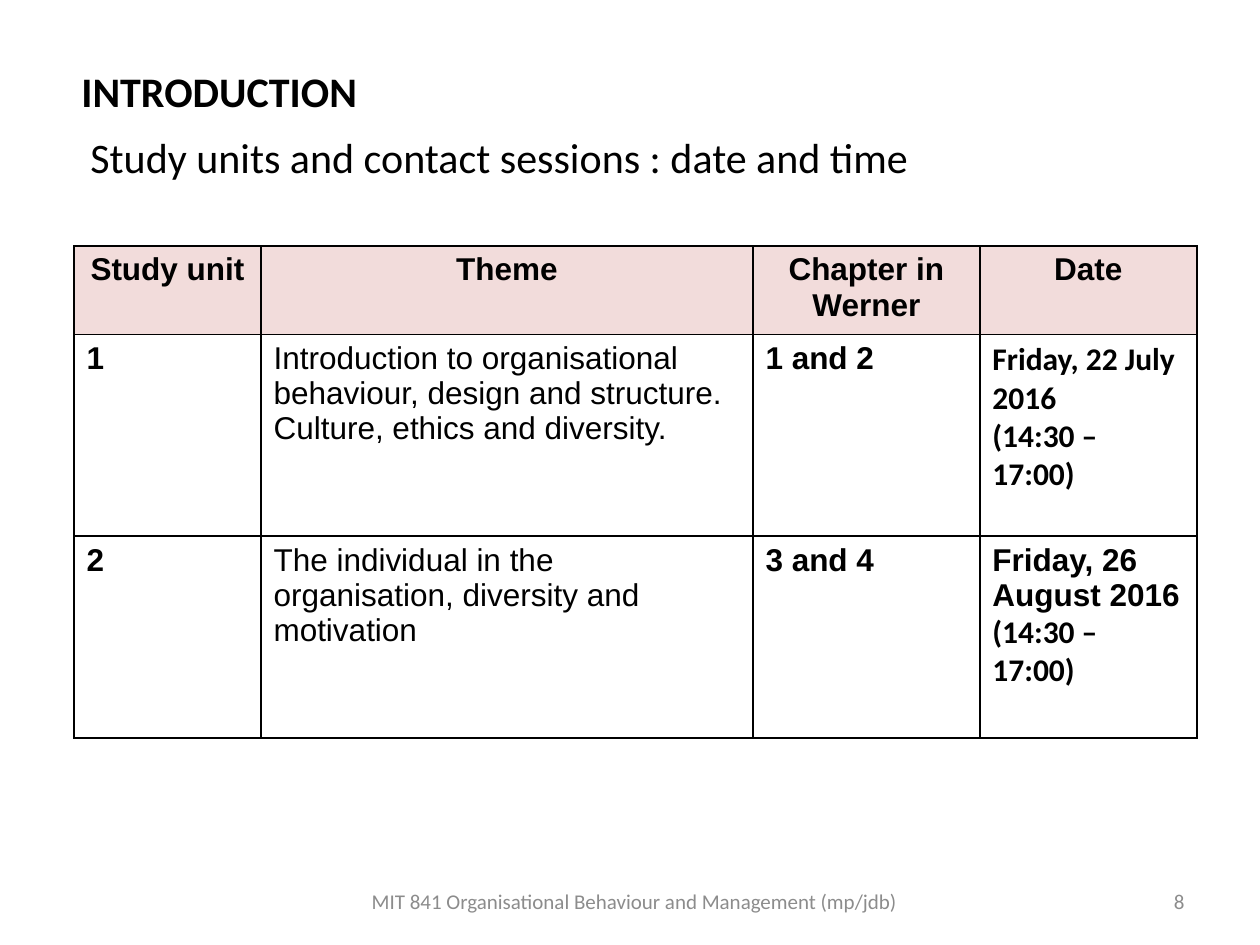
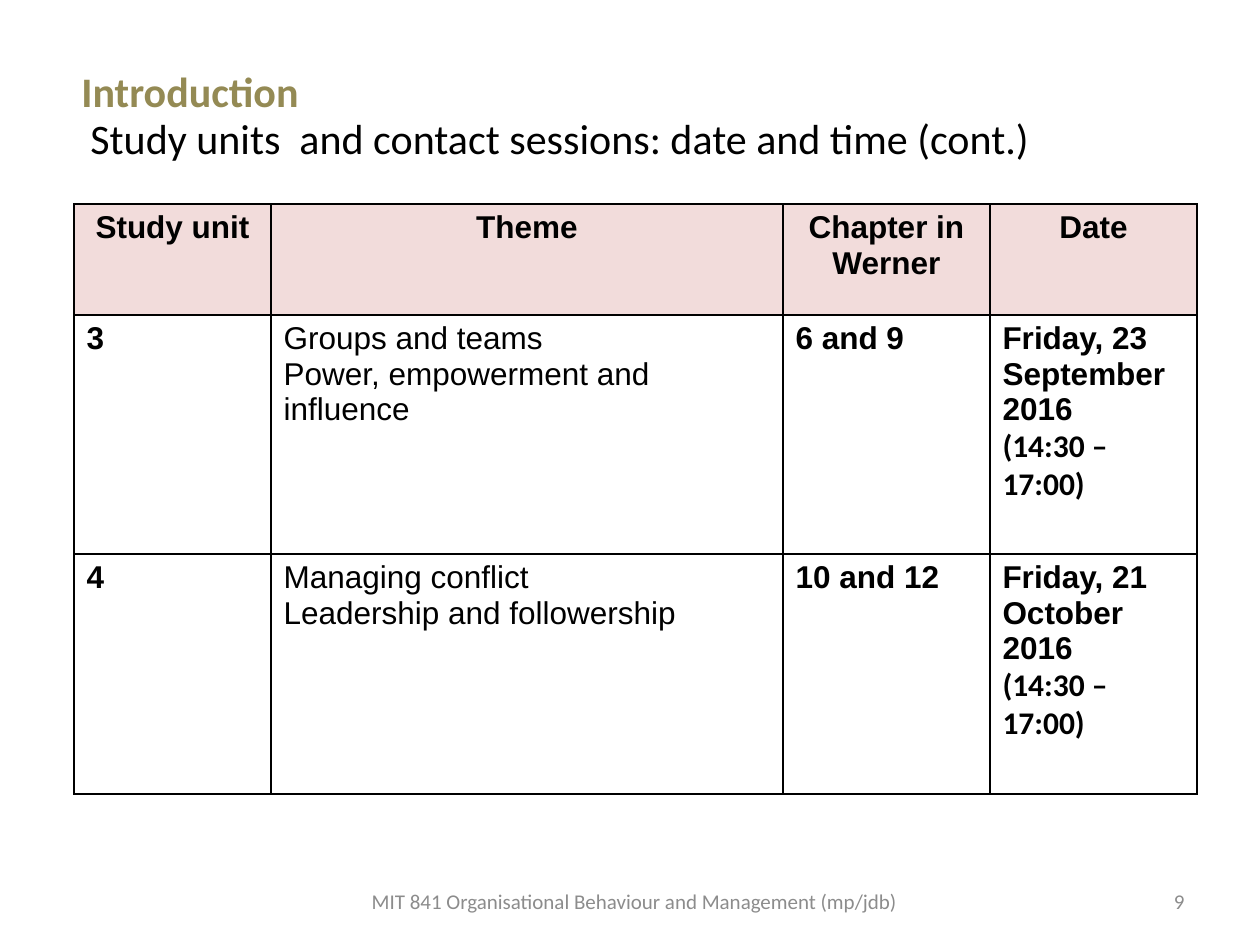
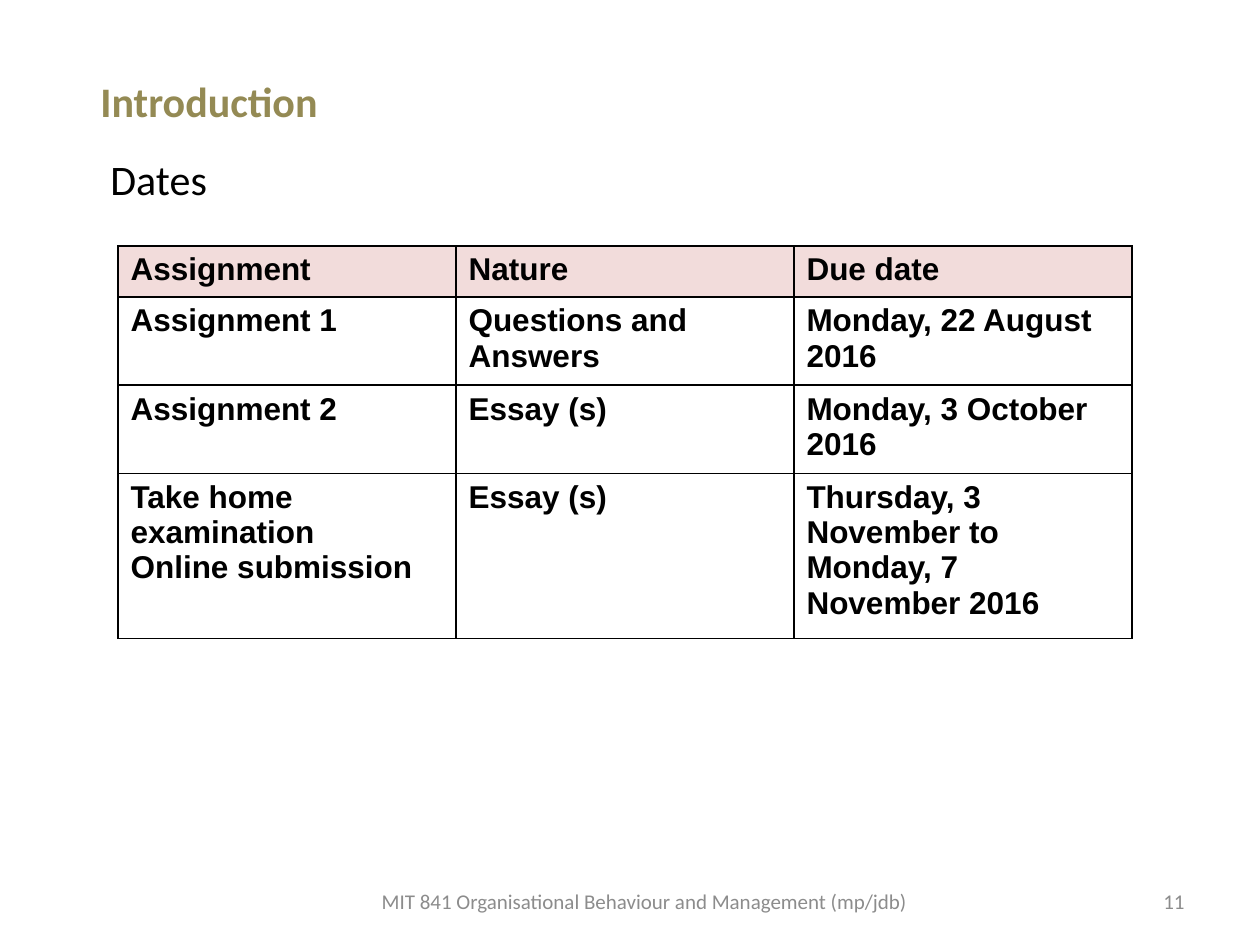
import pptx
import pptx.util
import pptx.dml.color
import pptx.enum.text
import pptx.oxml
import pptx.oxml.ns
import lxml.etree

PIXEL = 914400 // 126
BLACK = pptx.dml.color.RGBColor(0x00, 0x00, 0x00)
WHITE = pptx.dml.color.RGBColor(0xFF, 0xFF, 0xFF)
OLIVE = pptx.dml.color.RGBColor(0x94, 0x8A, 0x54)
GREY = pptx.dml.color.RGBColor(0x8C, 0x8C, 0x8C)
PINK = pptx.dml.color.RGBColor(0xF2, 0xDC, 0xDB)
BODY_FONT = "Calibri"
TABLE_FONT = "Arial"
LEFT = pptx.enum.text.PP_ALIGN.LEFT
CENTER = pptx.enum.text.PP_ALIGN.CENTER
RIGHT = pptx.enum.text.PP_ALIGN.RIGHT
TOP = pptx.enum.text.MSO_ANCHOR.TOP
MIDDLE = pptx.enum.text.MSO_ANCHOR.MIDDLE

FOOTER = "MIT 841 Organisational Behaviour and Management (mp/jdb)"
UNIT_HEADINGS = ["Study unit", "Theme", "Chapter in Werner", "Date"]
TIME = ("(14:30 – 17:00)", BODY_FONT)

# A cell is plain text, or a list of paragraphs; a paragraph is plain text
# or a list of (text, font) runs.
PAGES = [
    {
        "title": ("INTRODUCTION", BLACK, (69, 59, 1033, 115)),
        "subtitle": ("Study units and contact sessions : date and time", (78, 125, 966, 63)),
        "footer": (344, 876, 581, 50),
        "number": "8",
        "corner": (74, 246),
        "columns": [187, 492, 227, 217],
        "rows": [88, 202, 202],
        "heading_align": CENTER,
        "light_column": 1,
        "cells": [
            UNIT_HEADINGS,
            ["1",
             ["Introduction to organisational behaviour, design and structure.",
              "Culture, ethics and diversity."],
             "1 and 2",
             [[("Friday, 22 July 2016", BODY_FONT)], [TIME]]],
            ["2",
             "The individual in the organisation, diversity and motivation",
             "3 and 4",
             [[("Friday, 26 August 2016 ", TABLE_FONT), TIME]]],
        ],
    },
    {
        "title": ("Introduction", OLIVE, (69, 59, 1033, 64)),
        "subtitle": ("Study units  and contact sessions: date and time (cont.)", (78, 106, 966, 63)),
        "footer": (344, 876, 581, 50),
        "number": "9",
        "corner": (74, 204),
        "columns": [197, 512, 207, 207],
        "rows": [111, 239, 240],
        "heading_align": CENTER,
        "light_column": 1,
        "cells": [
            UNIT_HEADINGS,
            ["3",
             ["Groups and teams", "Power, empowerment and influence"],
             "6 and 9",
             ["Friday, 23 September 2016", [TIME]]],
            ["4",
             ["Managing conflict", "Leadership and followership"],
             "10 and 12",
             ["Friday, 21 October 2016", [TIME]]],
        ],
    },
    {
        "title": ("Introduction", OLIVE, (88, 69, 493, 64)),
        "subtitle": ("Dates", (98, 147, 966, 64)),
        "footer": (315, 876, 659, 50),
        "number": "11",
        "corner": (118, 246),
        "columns": [338, 338, 338],
        "rows": [51, 88, 88, 165],
        "heading_align": LEFT,
        "light_column": None,
        "cells": [
            ["Assignment", "Nature", "Due date"],
            ["Assignment 1", "Questions and Answers", "Monday, 22 August 2016"],
            ["Assignment 2", "Essay (s)", "Monday, 3 October 2016"],
            [["Take home examination", "Online submission"],
             "Essay (s)",
             "Thursday, 3 November to Monday, 7 November 2016"],
        ],
    },
]


def add_text(page, place, text, size, color, bold=False, align=LEFT, anchor=TOP):
    """Add a one-paragraph text box at a place given in pixels."""
    box = page.shapes.add_textbox(*[length * PIXEL for length in place])
    frame = box.text_frame
    frame.word_wrap = True
    frame.vertical_anchor = anchor
    para = frame.paragraphs[0]
    para.text = text
    para.alignment = align
    para.font.name = BODY_FONT
    para.font.size = pptx.util.Pt(size)
    para.font.bold = bold
    para.font.color.rgb = color


def add_borders(cell):
    """Give a table cell a thin black line on all four sides."""
    properties = cell._tc.get_or_add_tcPr()
    for side in ("a:lnL", "a:lnR", "a:lnT", "a:lnB"):
        line = lxml.etree.SubElement(properties, pptx.oxml.ns.qn(side), w=str(pptx.util.Pt(1)))
        fill = lxml.etree.SubElement(line, pptx.oxml.ns.qn("a:solidFill"))
        lxml.etree.SubElement(fill, pptx.oxml.ns.qn("a:srgbClr"), val=str(BLACK))


deck = pptx.Presentation()
deck.slide_width = 1260 * PIXEL
deck.slide_height = 945 * PIXEL

for content in PAGES:
    page = deck.slides.add_slide(deck.slide_layouts[6])

    title, title_color, title_place = content["title"]
    add_text(page, title_place, title, 24, title_color, bold=True)
    subtitle, subtitle_place = content["subtitle"]
    add_text(page, subtitle_place, subtitle, 24, BLACK)
    add_text(page, (903, 876, 294, 50), content["number"], 12, GREY, align=RIGHT, anchor=MIDDLE)
    add_text(page, content["footer"], FOOTER, 12, GREY, align=CENTER, anchor=MIDDLE)

    columns, rows = content["columns"], content["rows"]
    left, top = content["corner"]
    table = page.shapes.add_table(
        len(rows), len(columns), left * PIXEL, top * PIXEL,
        sum(columns) * PIXEL, sum(rows) * PIXEL).table
    table.first_row = False
    table.horz_banding = False
    for column, width in zip(table.columns, columns):
        column.width = width * PIXEL
    for row, height in zip(table.rows, rows):
        row.height = height * PIXEL

    for row_index, row_cells in enumerate(content["cells"]):
        heading = row_index == 0
        for column_index, paragraphs in enumerate(row_cells):
            cell = table.cell(row_index, column_index)
            add_borders(cell)
            cell.fill.solid()
            cell.fill.fore_color.rgb = PINK if heading else WHITE
            if isinstance(paragraphs, str):
                paragraphs = [paragraphs]
            for index, runs in enumerate(paragraphs):
                frame = cell.text_frame
                para = frame.paragraphs[0] if index == 0 else frame.add_paragraph()
                para.alignment = content["heading_align"] if heading else LEFT
                para.font.size = pptx.util.Pt(18)
                para.font.bold = heading or column_index != content["light_column"]
                para.font.color.rgb = BLACK
                if isinstance(runs, str):
                    runs = [(runs, TABLE_FONT)]
                for text, font in runs:
                    span = para.add_run()
                    span.text = text
                    span.font.name = font

deck.save("out.pptx")
